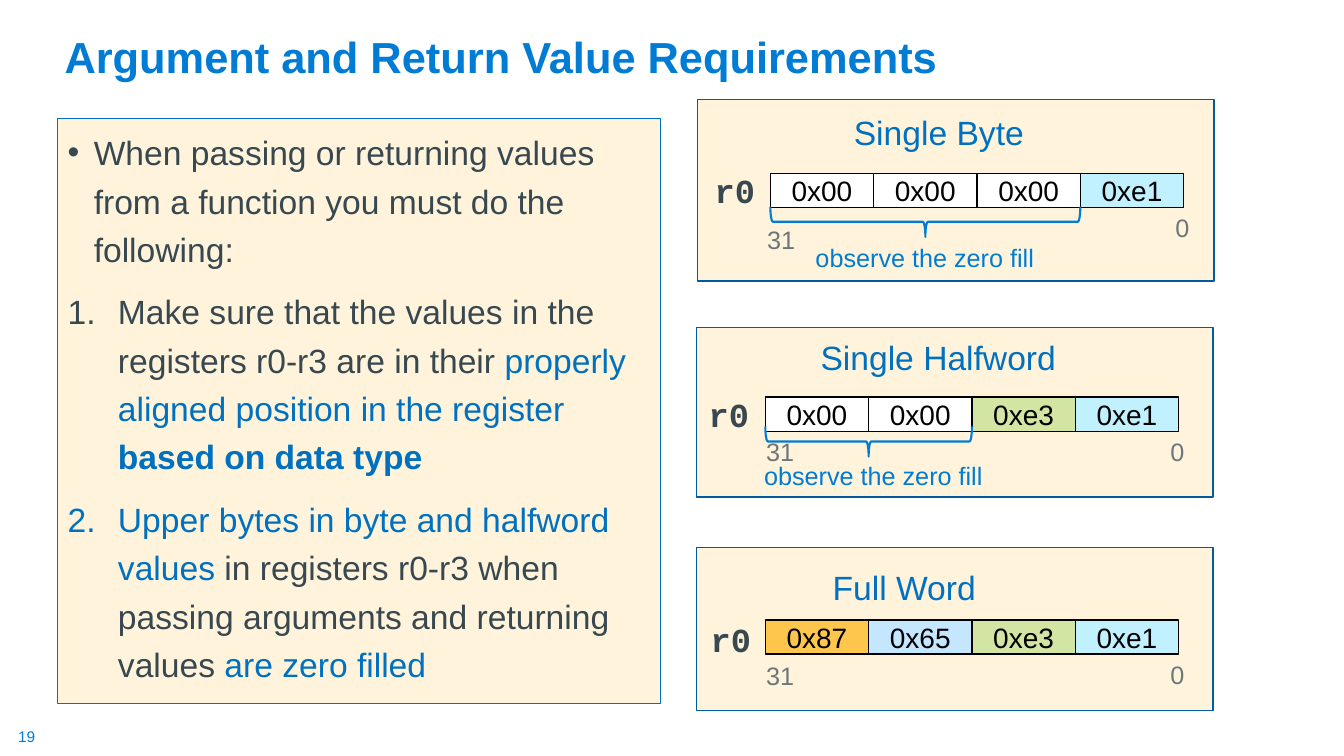
import pptx
import pptx.util
import pptx.dml.color
import pptx.enum.shapes
import pptx.enum.text
import pptx.oxml.ns
from lxml import etree

Inches, Pt = pptx.util.Inches, pptx.util.Pt
RGB = pptx.dml.color.RGBColor.from_string
FORM = pptx.enum.shapes.MSO_SHAPE
ALIGN = pptx.enum.text.PP_ALIGN
ANCHOR = pptx.enum.text.MSO_ANCHOR
FIT = pptx.enum.text.MSO_AUTO_SIZE
qn = pptx.oxml.ns.qn


class Theme:
    """Colours, fonts and type sizes."""
    blue, link, edge = "007CD5", "0070C0", "005C9E"
    cream, ink, gray, black = "FFF4DB", "384851", "6B767D", "000000"
    white, aqua, sky, gold = "FFFFFF", "C1F0FF", "C4E6FF", "FEC64D"
    green = ("92D050", 40)  # colour and percent opaque
    sans, mono = "Arial", "Courier New"
    title, body, cell, note, page = 31, 24, 20, 18, 11


class Deck:
    def __init__(self, theme):
        self.theme = theme
        self.prs = pptx.Presentation()
        self.prs.slide_width, self.prs.slide_height = Inches(13.33), Inches(7.5)
        self.slide = self.prs.slides.add_slide(self.prs.slide_layouts[1])
        self.tree = self.slide.shapes

    def group(self):
        """Send the next parts to a new group."""
        self.tree = self.slide.shapes.add_group_shape().shapes

    def run(self, para, text, size, color, bold=False, face=None):
        run = para.add_run()
        run.text = text
        form = {"size": Pt(size), "bold": bold, "name": face or self.theme.sans}
        for key, val in form.items():
            setattr(run.font, key, val)
        run.font.color.rgb = RGB(color)

    def paint(self, shape, fill, line, width):
        if fill is None:
            shape.fill.background()
        else:
            color, part = fill if isinstance(fill, tuple) else (fill, 100)
            shape.fill.solid()
            shape.fill.fore_color.rgb = RGB(color)
            if part < 100:
                node = shape.fill._xPr.find(".//" + qn("a:srgbClr"))
                etree.SubElement(node, qn("a:alpha"), val=str(part * 1000))
        shape.line.color.rgb = RGB(line)
        shape.line.width = Pt(width)

    def shape(self, kind, box, fill, line, width=1.0):
        shape = self.tree.add_shape(kind, *map(Inches, box))
        shape.shadow.inherit = False
        self.paint(shape, fill, line, width)
        return shape

    def cell(self, box, text, fill):
        frame = self.shape(FORM.RECTANGLE, box, fill, self.theme.black).text_frame
        frame.vertical_anchor = ANCHOR.MIDDLE
        frame.paragraphs[0].alignment = ALIGN.CENTER
        self.run(frame.paragraphs[0], text, self.theme.cell, self.theme.black)

    def label(self, box, text, size, color, inset=None, **style):
        frame = self.tree.add_textbox(*map(Inches, box)).text_frame
        form = {"word_wrap": False, "auto_size": FIT.SHAPE_TO_FIT_TEXT}
        if inset is not None:
            for side in ("left", "right", "top", "bottom"):
                form["margin_" + side] = Inches(inset)
        for key, val in form.items():
            setattr(frame, key, val)
        self.run(frame.paragraphs[0], text, size, color, **style)

    def brace(self, left, top, width, height):
        """A right brace turned to point down."""
        box = (left + (width - height) / 2, top + (height - width) / 2, height, width)
        self.shape(FORM.RIGHT_BRACE, box, None, self.theme.blue, 1.5).rotation = 90

    def holder(self, index, box, anchor):
        """Move a placeholder and ready its text."""
        shape = self.slide.placeholders[index]
        for key, val in zip(("left", "top", "width", "height"), box):
            setattr(shape, key, Inches(val))
        frame = shape.text_frame
        form = {"auto_size": FIT.NONE, "word_wrap": True, "vertical_anchor": anchor}
        for key, val in form.items():
            setattr(frame, key, val)
        return shape

    def title(self, box, text):
        para = self.holder(0, box, ANCHOR.BOTTOM).text_frame.paragraphs[0]
        para.alignment, para.line_spacing = ALIGN.LEFT, 0.9
        self.run(para, text, self.theme.title, self.theme.blue, bold=True)

    def list(self, box, items):
        shape = self.holder(1, box, ANCHOR.TOP)
        self.paint(shape, self.theme.cream, self.theme.link, 0.75)
        frame = shape.text_frame
        for num, (mark, runs) in enumerate(items):
            para = frame.add_paragraph() if num else frame.paragraphs[0]
            props = para._p.get_or_add_pPr()
            tag, key, val, indent = mark
            props.set("marL", str(Inches(indent)))
            props.set("indent", str(-Inches(indent)))
            etree.SubElement(props, qn(tag)).set(key, val)
            para.line_spacing = 1.2
            para.space_before = Pt(10 if num else 0)
            for text, color, bold in runs:
                self.run(para, text, self.theme.body, color, bold)


WIDE, TALL = 4.1, 0.34  # one register row


def panel(deck, name, head, row, bytes_, spots):
    """A register: heading, name, four bytes and bit numbers."""
    theme = deck.theme
    left, top = row
    step = WIDE / len(bytes_)
    deck.group()
    for num, (text, fill) in enumerate(bytes_):
        deck.cell((left + num * step, top, step, TALL), text, fill)
    deck.label((left + 3.92, top + TALL, 0.34, 0.4), "0", theme.note, theme.gray)
    deck.label((*spots["high"], 0.48, 0.4), "31", theme.note, theme.gray)
    deck.label(head, name, theme.body, theme.link)
    deck.label((*spots["reg"], 0.61, 0.5), "r0", theme.body, theme.ink,
               bold=True, face=theme.mono)
    if "note" in spots:
        zeros = sum(text == "0x00" for text, _ in bytes_)
        deck.group()
        deck.label((*spots["note"], 2.47, 0.4), "observe the zero fill",
                   theme.note, theme.blue)
        deck.brace(left, spots["brace"], zeros * step, 0.3)


def main():
    theme = Theme()
    deck = Deck(theme)

    # Page number, title and list
    deck.label((0.18, 7.21, 0.19, 0.19), "19", theme.page, theme.blue, inset=0)
    deck.title((0.54, 0.09, 11.5, 0.78), "Argument and Return Value Requirements")
    dot = ("a:buChar", "char", "•", 0.26)
    count = ("a:buAutoNum", "type", "arabicPeriod", 0.5)
    ink, link = theme.ink, theme.link
    deck.list((0.57, 1.18, 5.98, 5.8), [
        (dot, [("When passing or returning values from a function you must do "
                "the following:", ink, False)]),
        (count, [("Make sure that the values in the registers r0-r3 are in their ",
                  ink, False),
                 ("properly aligned position in the register ", link, False),
                 ("based on data type", link, True)]),
        (count, [("Upper bytes in byte and halfword values", link, False),
                 (" in registers r0-r3 when passing arguments and returning values ",
                  ink, False),
                 ("are zero filled", link, False)]),
    ])

    # Panel frames
    for left, top, height in ((6.91, 5.43, 1.62), (6.91, 3.25, 1.68), (6.92, 0.99, 1.8)):
        deck.shape(FORM.RECTANGLE, (left, top, 5.12, height), theme.cream, theme.edge)

    # Registers
    zero, low, mid = ("0x00", theme.white), ("0xe1", theme.aqua), ("0xe3", theme.green)
    panel(deck, "Single Byte", (8.37, 1.06, 1.91, 0.5), (7.64, 1.72),
          [zero, zero, zero, low],
          {"high": (7.51, 2.18), "reg": (6.99, 1.64), "note": (7.99, 2.36), "brace": 2.05})
    panel(deck, "Single Halfword", (8.04, 3.29, 2.56, 0.5), (7.59, 3.94),
          [zero, zero, mid, low],
          {"high": (7.5, 4.28), "reg": (6.93, 3.86), "note": (7.48, 4.52), "brace": 4.23})
    panel(deck, "Full Word", (8.16, 5.58, 1.64, 0.5), (7.59, 6.15),
          [("0x87", theme.gold), ("0x65", theme.sky), mid, low],
          {"high": (7.5, 6.5), "reg": (6.95, 6.09)})

    deck.prs.save("out.pptx")


if __name__ == "__main__":
    main()
